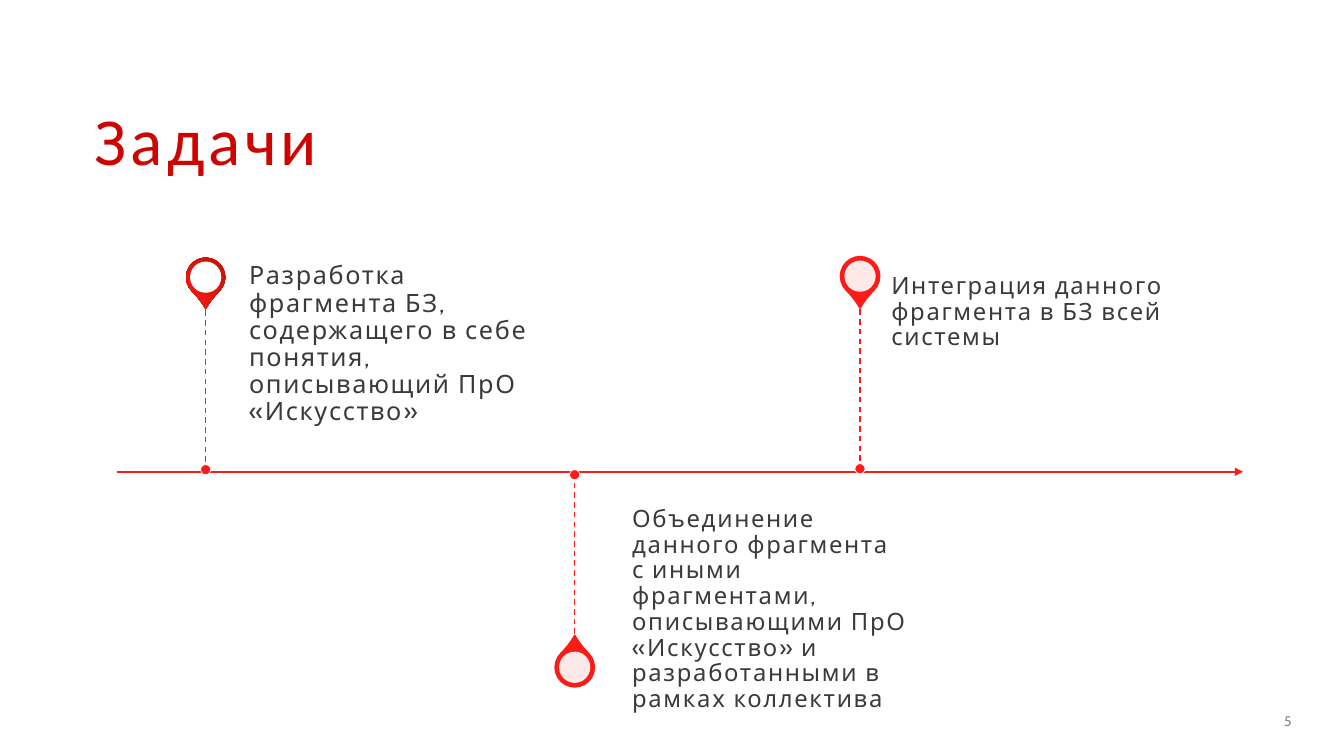
import pptx
import pptx.util
import pptx.dml.color
import pptx.enum.dml
import pptx.enum.shapes
import pptx.enum.text
import pptx.oxml.ns
import lxml.etree

RGB = pptx.dml.color.RGBColor
RED = RGB(0xFD, 0x1B, 0x17)
DEEP = RGB(0xB5, 0x12, 0x00)
TITLE = RGB(0xCD, 0x05, 0x02)
INK = RGB(0x3A, 0x3A, 0x3A)
GREY = RGB(0x89, 0x89, 0x89)
WHITE = RGB(0xFF, 0xFF, 0xFF)

COLS, ROWS = 133.3, 75
SHAPE = pptx.enum.shapes.MSO_SHAPE
ALIGN = pptx.enum.text.PP_ALIGN
TASKS = [
    dict(x=20.4, y=27.5, down=1, size=18, shade=True, inset=2.5,
         area=(24.7, 26.9, 30.3, 14.6),
         text="Разработка фрагмента БЗ, содержащего в себе понятия, "
              "описывающий ПрО «Искусство»"),
    dict(x=57, y=66.2, down=-1, size=17, shade=False, inset=1.2,
         area=(62.7, 49.5, 28.7, 22),
         text="Объединение данного фрагмента с иными фрагментами, "
              "описывающими ПрО «Искусство» и разработанными в рамках "
              "коллектива"),
    dict(x=85.3, y=27.4, down=1, size=17, shade=False, inset=1.2,
         area=(88.4, 24.5, 32.3, 13),
         text="Интеграция данного фрагмента в БЗ всей системы"),
]


def assign(item, values):
    for name, value in values.items():
        setattr(item, name, value)


def add_tag(parent, tag, **values):
    return lxml.etree.SubElement(parent, pptx.oxml.ns.qn(tag), values)


class Board:
    def __init__(self):
        self.deck = pptx.Presentation()
        self.cell = pptx.util.Inches(0.1)
        assign(self.deck, dict(slide_width=self.grid(COLS),
                               slide_height=self.grid(ROWS)))
        self.slide = self.deck.slides.add_slide(self.deck.slide_layouts[5])
        self.shapes = self.slide.shapes

    def grid(self, count):
        return round(count * self.cell)

    def place(self, area):
        return [self.grid(value) for value in area]

    def letter(self, box, text, size, color, face="Cabin", space=0,
               align=ALIGN.LEFT, lead=0.9, pads=None):
        frame = box.text_frame
        assign(frame, dict(text=text, word_wrap=True,
                           auto_size=pptx.enum.text.MSO_AUTO_SIZE.NONE,
                           vertical_anchor=pptx.enum.text.MSO_ANCHOR.MIDDLE))
        assign(frame, pads or {})
        line = frame.paragraphs[0]
        assign(line, dict(alignment=align, line_spacing=lead))
        run = line.runs[0]
        assign(run.font, dict(name=face, size=pptx.util.Pt(size)))
        run.font.color.rgb = color
        if space:
            run._r.get_or_add_rPr().set("spc", str(round(space * 100)))

    def title(self, text, area):
        box = self.shapes.title
        assign(box, dict(zip(("left", "top", "width", "height"),
                             self.place(area))))
        self.letter(box, text, 48, TITLE, "Calibri", 3)

    def label(self, text, area, size, color, **style):
        box = self.shapes.add_textbox(*self.place(area))
        self.letter(box, text, size, color, **style)

    def line(self, start, end, width, dash=False, arrow=False):
        line = self.shapes.add_connector(
            pptx.enum.shapes.MSO_CONNECTOR.STRAIGHT,
            *self.place(start + end))
        line.line.width = pptx.util.Pt(width)
        line.line.color.rgb = RED
        if dash:
            line.line.dash_style = pptx.enum.dml.MSO_LINE.DASH
        if arrow:
            edge = line._element.spPr.find(pptx.oxml.ns.qn("a:ln"))
            add_tag(edge, "a:tailEnd", type="triangle")
        add_tag(line._element.spPr, "a:effectLst")

    def form(self, kind, x, y, size, fill, edge=None, width=1):
        form = self.shapes.add_shape(
            kind, *self.place((x - size / 2, y - size / 2, size, size)))
        form.shadow.inherit = False
        form.fill.solid()
        form.fill.fore_color.rgb = fill
        if edge is None:
            form.line.fill.background()
        else:
            form.line.color.rgb = edge
            form.line.width = pptx.util.Pt(width)
        return form

    def pin(self, x, y, down, shade):
        drop = self.form(SHAPE.TEAR, x, y, 3.9, RED, None if shade else RED)
        drop.adjustments[0] = 1.15
        drop.rotation = 135 if down > 0 else 315
        if shade:
            drop.fill.gradient()
            drop.fill.gradient_angle = 0
            for stop, color, spot in zip(drop.fill.gradient_stops,
                                         (DEEP, RED), (0, 1)):
                stop.color.rgb = color
                stop.position = spot
        disc = self.form(SHAPE.OVAL, x, y, 3.1, WHITE)
        if not shade:
            color = disc._element.spPr.find(".//" + pptx.oxml.ns.qn("a:srgbClr"))
            add_tag(color, "a:alpha", val="90000")

    def task(self, x, y, down, size, shade, inset, area, text):
        self.pin(x, y, down, shade)
        pads = dict(margin_left=0, margin_top=0, margin_bottom=0,
                    margin_right=self.grid(inset))
        self.label(text, area, size, INK, space=1.2, pads=pads)
        foot = y + down * 19.1
        self.line((x, y + down * 3.3), (x, foot), 1, dash=True)
        self.form(SHAPE.OVAL, x, foot, 1, RED, WHITE, 0.5)


def main():
    board = Board()
    board.title("Задачи", (8.4, 8.4, 92.4, 11.8))
    board.line((11.6, 46.8), (123.3, 46.8), 1.5, arrow=True)
    for task in TASKS:
        board.task(**task)
    board.label("5", (112.3, 69.5, 16.8, 4), 10, GREY,
                align=ALIGN.RIGHT, lead=1)
    board.deck.save("out.pptx")


if __name__ == "__main__":
    main()
